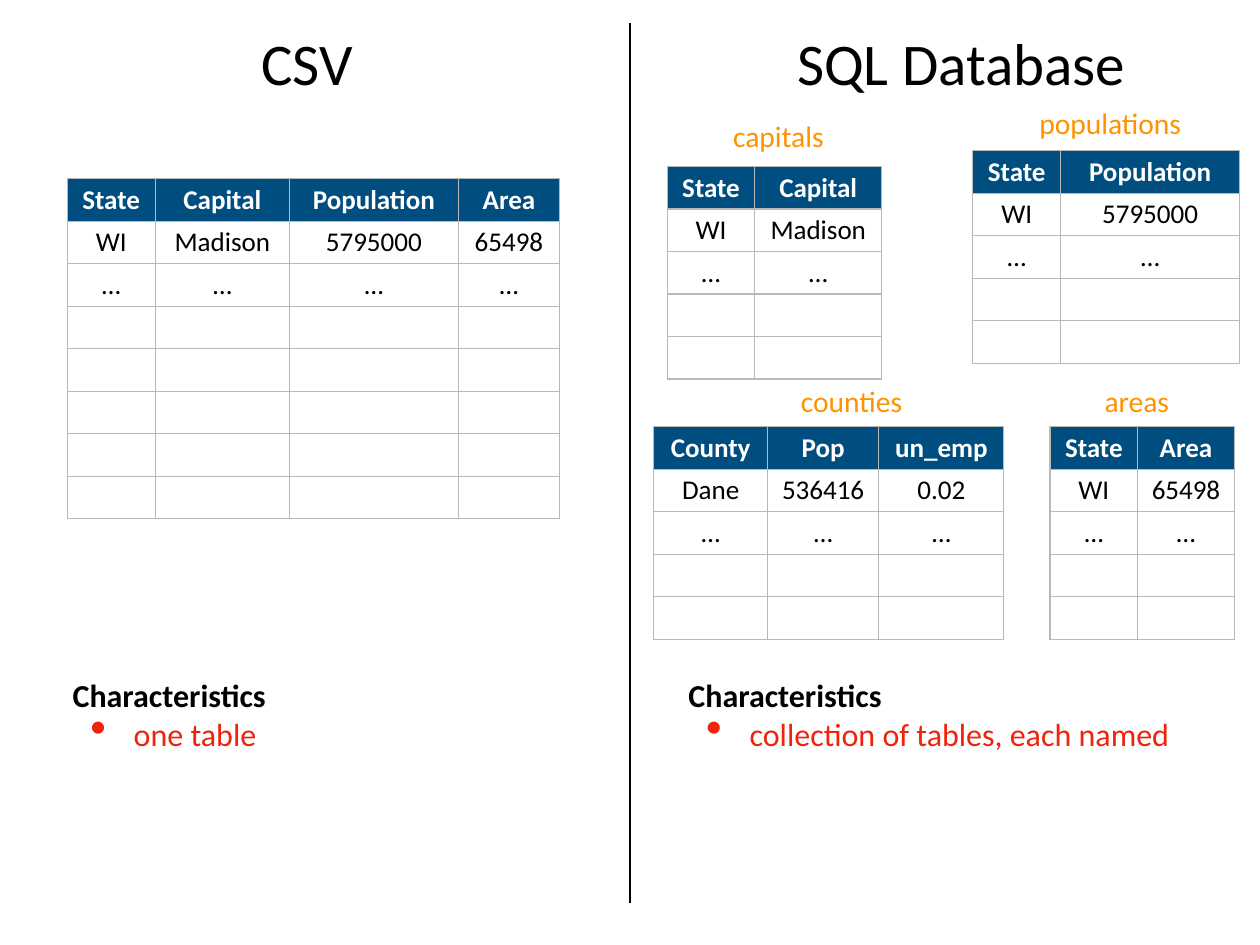
from dataclasses import dataclass

from lxml.etree import SubElement
from pptx import Presentation
from pptx.dml.color import RGBColor
from pptx.enum.shapes import MSO_CONNECTOR
from pptx.enum.text import MSO_ANCHOR, PP_ALIGN
from pptx.oxml.ns import qn
from pptx.util import Pt

EMU_PER_PX = 9144


@dataclass(frozen=True)
class Theme:
    font: str = "Calibri"
    black: str = "000000"
    white: str = "FFFFFF"
    header: str = "004D80"
    border: str = "B8B8B8"
    label: str = "FE9301"
    point: str = "EE230C"
    title_size: int = 48
    body_size: int = 26
    label_size: int = 24
    cell_size: int = 22


THEME = Theme()
INSET = 6
CELL_INSET = 5
ROW_HEIGHT = 48


def px(n):
    return n * EMU_PER_PX


def set_attrs(obj, values):
    for name, value in values.items():
        setattr(obj, name, value)


def add_run(p, text, size, color, bold=False):
    r = p.add_run()
    r.text = text
    set_attrs(r.font, {"name": THEME.font, "size": Pt(size), "bold": bold})
    r.font.color.rgb = RGBColor.from_string(color)


def add_box(s, box, anchor, wrap=True):
    tf = s.shapes.add_textbox(*map(px, box)).text_frame
    sides = ("left", "top", "right", "bottom")
    set_attrs(tf, {f"margin_{side}": px(INSET) for side in sides})
    set_attrs(tf, {"word_wrap": wrap, "vertical_anchor": anchor})
    return tf


def add_heading(s, text, box, size, color, wrap=True):
    p = add_box(s, box, MSO_ANCHOR.MIDDLE, wrap).paragraphs[0]
    p.alignment = PP_ALIGN.CENTER
    add_run(p, text, size, color)


def add_characteristics(s, point, box):
    tf = add_box(s, box, MSO_ANCHOR.TOP)
    add_run(tf.paragraphs[0], "Characteristics", THEME.body_size, THEME.black, True)
    p = tf.add_paragraph()
    pPr = p._p.get_or_add_pPr()
    pPr.set("marL", str(px(69)))
    pPr.set("indent", str(px(-49)))
    SubElement(pPr, qn("a:buSzPct"), val="145000")
    SubElement(pPr, qn("a:buChar"), char="•")
    add_run(p, point, THEME.body_size, THEME.point)


def add_divider(s, x, top, bottom):
    line = s.shapes.add_connector(MSO_CONNECTOR.STRAIGHT, px(x), px(bottom), px(x), px(top))
    line.line.width = Pt(2)
    line.line.color.rgb = RGBColor.from_string(THEME.black)
    SubElement(line._element.spPr, qn("a:effectLst"))


def add_borders(cell):
    tcPr = cell._tc.get_or_add_tcPr()
    for side in ("lnL", "lnR", "lnT", "lnB"):
        ln = SubElement(tcPr, qn(f"a:{side}"), w=str(Pt(1)))
        fill = SubElement(ln, qn("a:solidFill"))
        SubElement(fill, qn("a:srgbClr"), val=THEME.border)


def format_cell(cell, text, is_header):
    add_borders(cell)
    cell.fill.solid()
    cell.fill.fore_color.rgb = RGBColor.from_string(THEME.header if is_header else THEME.white)
    set_attrs(cell, {
        "margin_left": px(INSET),
        "margin_right": px(INSET),
        "margin_top": px(CELL_INSET),
        "margin_bottom": px(CELL_INSET),
        "vertical_anchor": MSO_ANCHOR.MIDDLE,
    })
    if text:
        p = cell.text_frame.paragraphs[0]
        p.alignment = PP_ALIGN.CENTER
        add_run(p, text, THEME.cell_size, THEME.white if is_header else THEME.black, is_header)


def add_data_table(s, left, top, widths, header, record, row_count):
    count = len(widths)
    frame = s.shapes.add_table(
        row_count, count, px(left), px(top), px(sum(widths)), px(ROW_HEIGHT * row_count)
    )
    table = frame.table
    set_attrs(table, {"first_row": False, "horz_banding": False})
    for column, width in zip(table.columns, widths):
        column.width = px(width)
    blank = [""] * count
    rows = [header, record, ["…"] * count] + [blank] * (row_count - 3)
    for i, texts in enumerate(rows):
        table.rows[i].height = px(ROW_HEIGHT)
        for j, text in enumerate(texts):
            format_cell(table.cell(i, j), text, i == 0)


def main():
    prs = Presentation()
    set_attrs(prs, {"slide_width": px(1422), "slide_height": px(1067)})
    s = prs.slides.add_slide(prs.slide_layouts[6])

    add_divider(s, 711, 26, 1020)
    for text, box in (
        ("CSV", (281, 26, 131, 88)),
        ("SQL Database", (886, 26, 398, 88)),
    ):
        add_heading(s, text, box, THEME.title_size, THEME.black, wrap=False)

    for left, top, widths, header, record, row_count in (
        (76, 202, (99, 152, 190, 115), ("State", "Capital", "Population", "Area"),
         ("WI", "Madison", "5795000", "65498"), 8),
        (753, 188, (99, 143), ("State", "Capital"), ("WI", "Madison"), 5),
        (1098, 170, (99, 202), ("State", "Population"), ("WI", "5795000"), 5),
        (738, 482, (128, 126, 141), ("County", "Pop", "un_emp"),
         ("Dane", "536416", "0.02"), 5),
        (1185, 482, (99, 109), ("State", "Area"), ("WI", "65498"), 5),
    ):
        add_data_table(s, left, top, widths, header, record, row_count)

    for text, left, top, width in (
        ("capitals", 818, 127, 121),
        ("populations", 1161, 112, 184),
        ("counties", 892, 426, 138),
        ("areas", 1238, 426, 90),
    ):
        add_heading(s, text, (left, top, width, 52), THEME.label_size, THEME.label)

    for point, left, width in (
        ("one table", 76, 584),
        ("collection of tables, each named", 771, 628),
    ):
        add_characteristics(s, point, (left, 757, width, 248))

    prs.save("out.pptx")


if __name__ == "__main__":
    main()
